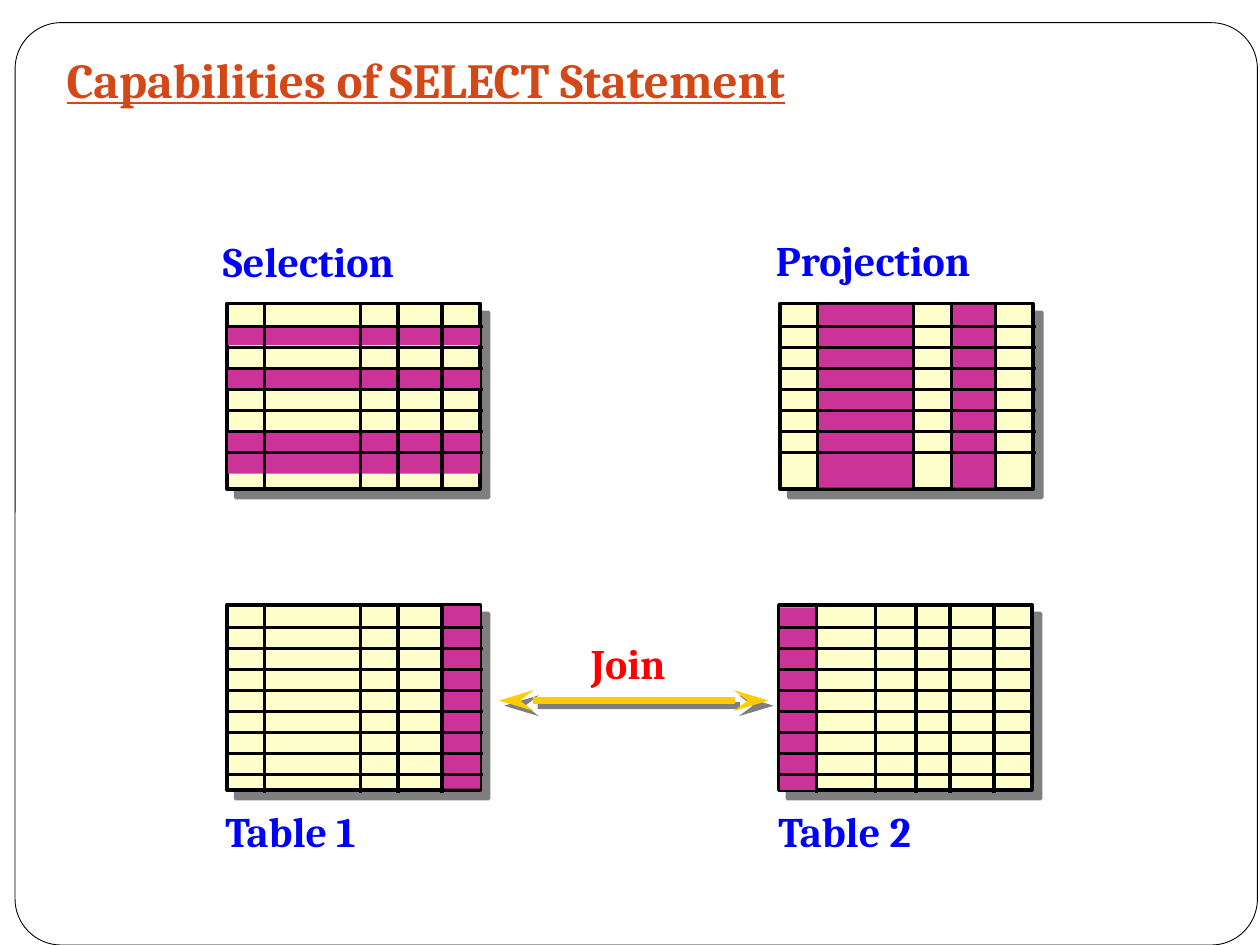
"""Build the slide on the capabilities of the SELECT statement."""
from lxml import etree
from pptx import Presentation
from pptx.dml.color import RGBColor
from pptx.enum.shapes import MSO_CONNECTOR as CONNECTOR, MSO_SHAPE as SHAPE
from pptx.oxml import parse_xml
from pptx.oxml.ns import nsdecls, qn
from pptx.util import Inches, Pt


def color(value):
    return RGBColor.from_string(value)


def set_effect(shape, distance=0):
    shadow = (
        f'<a:outerShdw blurRad="0" dist="{Pt(distance)}" dir="2700000" algn="ctr" rotWithShape="0">'
        '<a:srgbClr val="000000"><a:alpha val="50000"/></a:srgbClr></a:outerShdw>'
    ) if distance else ""
    properties = shape._element.spPr
    for old in properties.findall(qn("a:effectLst")):
        properties.remove(old)
    properties.append(parse_xml(f'<a:effectLst {nsdecls("a")}>{shadow}</a:effectLst>'))


presentation = Presentation()
presentation.slide_width = Inches(10)
presentation.slide_height = Inches(7.5)
slide = presentation.slides.add_slide(presentation.slide_layouts[6])
shapes = slide.shapes

frame = shapes.add_shape(SHAPE.ROUNDED_RECTANGLE, Inches(0.12), Inches(0.18), Inches(9.86), Inches(7.32))
frame.adjustments[0] = 0.05
frame.shadow.inherit = False
frame.fill.solid()
frame.fill.fore_color.rgb = color("FFFFFF")
frame.line.color.rgb = color("000000")
frame.line.width = Pt(0.5)

wide_columns = [0.3, 1.06, 1.36, 1.71]
narrow_columns = [0.3, 0.77, 1.09, 1.36, 1.71]
selected_rows = [(0.01, 0.18, 2, 0.15), (0.01, 0.51, 2, 0.16), (0.01, 1.01, 2, 0.34)]
projected_columns = [(0.31, 0.01, 0.74, 1.45), (1.36, 0.01, 0.34, 1.45)]
grids = [
    (1.8, 2.41, wide_columns, 7, selected_rows),
    (6.19, 2.41, wide_columns, 7, projected_columns),
    (1.8, 4.8, wide_columns, 8, [(1.72, 0.01, 0.29, 1.45)]),
    (6.18, 4.8, narrow_columns, 8, [(0.01, 0.02, 0.29, 1.45)]),
]
row_height = 1 / 6
for left, top, columns, row_count, highlights in grids:
    areas = [(0, 0, 2.01, 1.47)] + highlights
    for index, (x, y, width, height) in enumerate(areas):
        area = shapes.add_shape(SHAPE.RECTANGLE, Inches(left + x), Inches(top + y), Inches(width), Inches(height))
        area.fill.solid()
        area.fill.fore_color.rgb = color("CC3399" if index else "FFFFCC")
        if index:
            area.line.fill.background()
            set_effect(area)
        else:
            area.line.color.rgb = color("000000")
            area.line.width = Pt(2)
            set_effect(area, 7.1)
    rules = [(x, -0.01, x, 1.49) for x in columns]
    for row in range(row_count):
        y = 0.18 + row * row_height
        rules.append((-0.01, y, 2.03, y))
    for x1, y1, x2, y2 in rules:
        rule = shapes.add_connector(
            CONNECTOR.STRAIGHT, Inches(left + x1), Inches(top + y1), Inches(left + x2), Inches(top + y2))
        rule.line.color.rgb = color("000000")
        rule.line.width = Pt(2)
        set_effect(rule)

arrow = shapes.add_connector(CONNECTOR.STRAIGHT, Inches(3.96), Inches(5.56), Inches(6.1), Inches(5.56))
arrow.line.color.rgb = color("FFCC00")
arrow.line.width = Pt(4)
for end in ("a:headEnd", "a:tailEnd"):
    etree.SubElement(arrow.line._get_or_add_ln(), qn(end), type="stealth", w="med", len="lg")
set_effect(arrow, 4.2)

labels = [
    ("Capabilities of SELECT Statement", 0.43, 0.34, 8.86, 28, "D34817"),
    ("Selection", 1.67, 1.82, 1.62, 24, "0000FF"),
    ("Projection", 6.06, 1.81, 1.81, 24, "0000FF"),
    ("Table 1", 1.69, 6.34, 1.34, 24, "0000FF"),
    ("Table 2", 6.08, 6.34, 1.34, 24, "0000FF"),
    ("Join", 4.59, 5.01, 0.82, 24, "FF0000"),
]
for text, left, top, width, size, text_color in labels:
    label = shapes.add_textbox(Inches(left), Inches(top), Inches(width), Inches(0.51))
    label.text_frame.word_wrap = size == 28
    paragraph = label.text_frame.paragraphs[0]
    paragraph.text = text
    paragraph.font.name = "Cambria"
    paragraph.font.size = Pt(size)
    paragraph.font.bold = True
    paragraph.font.underline = size == 28
    paragraph.font.color.rgb = color(text_color)

presentation.save("out.pptx")
